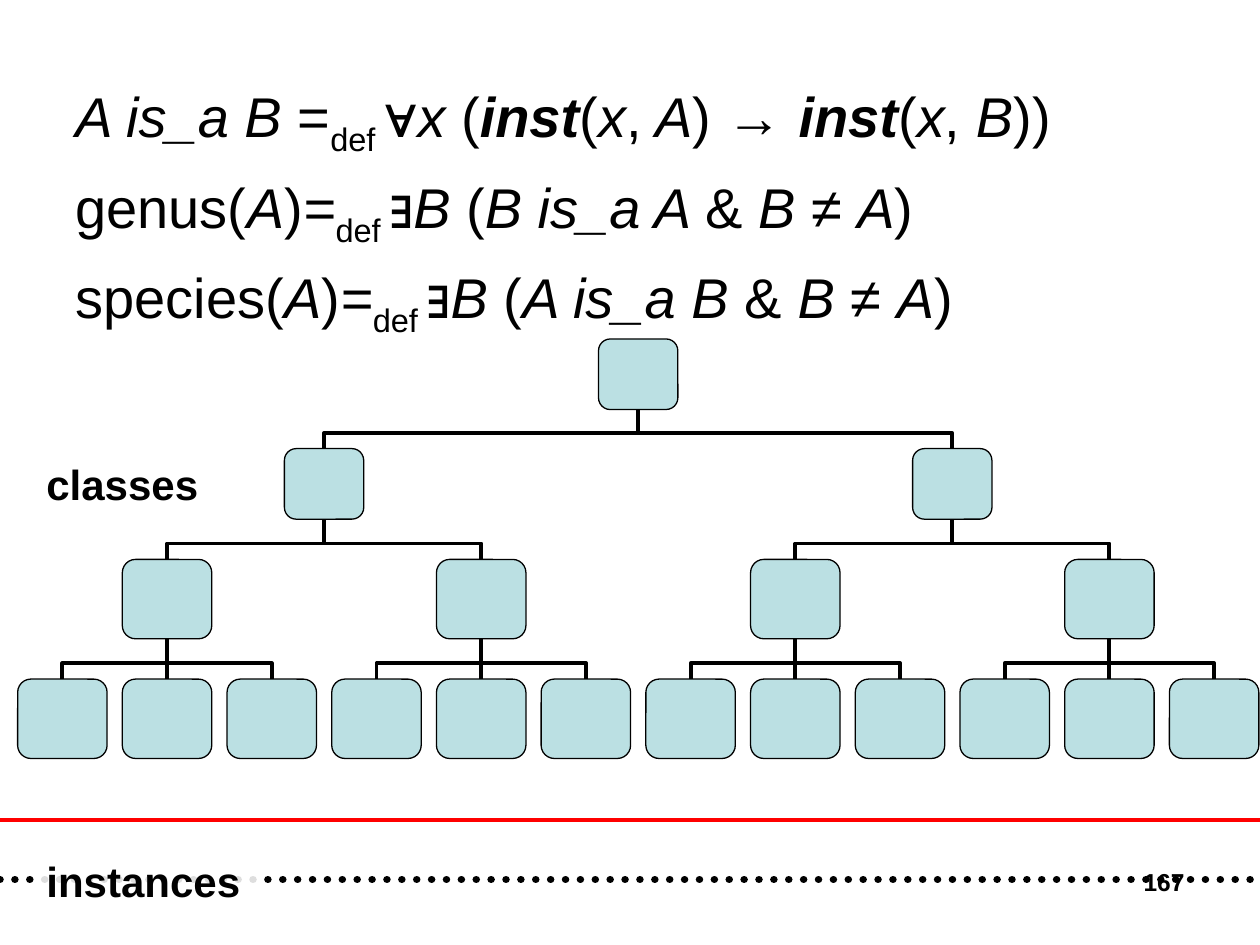
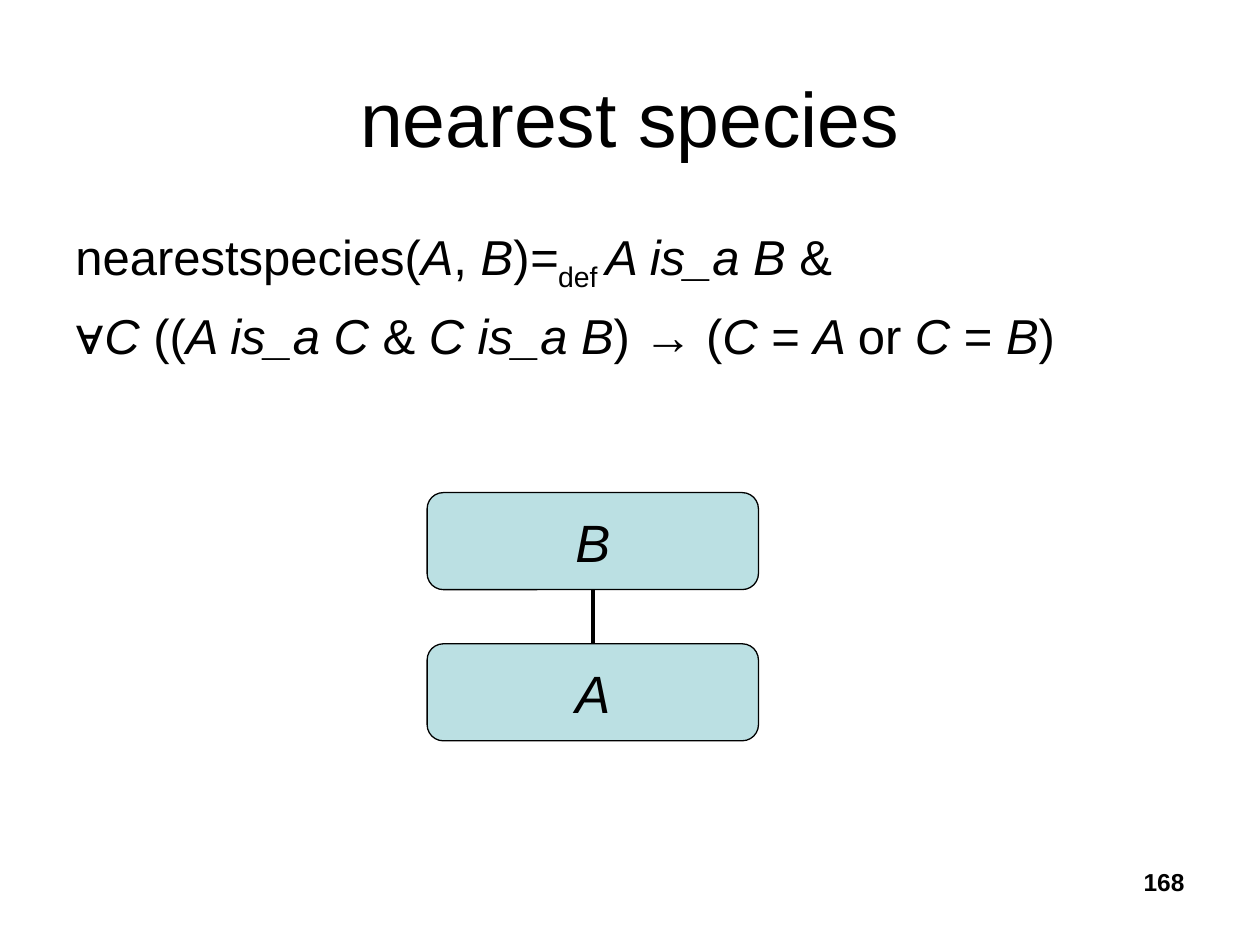
from dataclasses import dataclass
from typing import Optional

from lxml.etree import SubElement
from pptx import Presentation
from pptx.dml.color import RGBColor
from pptx.enum.shapes import MSO_CONNECTOR, MSO_SHAPE
from pptx.enum.text import MSO_ANCHOR, PP_ALIGN
from pptx.oxml.ns import qn
from pptx.util import Inches, Pt

BLACK = RGBColor(0x00, 0x00, 0x00)
WHITE = RGBColor(0xFF, 0xFF, 0xFF)
RED = RGBColor(0xFF, 0x00, 0x00)
NODE_BLUE = RGBColor(0xBB, 0xE0, 0xE3)

FONT = "Arial"
SLIDE_WIDTH = Inches(10)
SLIDE_HEIGHT = Inches(7.5)
LINK_WEIGHT = 2.25
ELBOW_BEND = 39500
LABEL_OPACITY = 87000


@dataclass(frozen=True)
class Box:
    """Place and size in percent of the slide's width and height."""

    left: float
    top: float
    width: float
    height: float

    def emu(self) -> tuple[int, int, int, int]:
        return across(self.left), down(self.top), across(self.width), down(self.height)


@dataclass(frozen=True)
class TextStyle:
    size: float
    bold: bool = False
    align: PP_ALIGN = PP_ALIGN.LEFT
    anchor: MSO_ANCHOR = MSO_ANCHOR.TOP
    space_before: float = 0
    wrap: bool = True


@dataclass(frozen=True)
class TreeLevel:
    top: float
    width: float
    height: float
    children: int


@dataclass(frozen=True)
class Rule:
    height: float
    weight: float
    color: RGBColor
    dotted: bool = False


TITLE = TextStyle(44, align=PP_ALIGN.CENTER, anchor=MSO_ANCHOR.MIDDLE)
DEFINITION = TextStyle(32, space_before=8)
SMALL_DEFINITION = TextStyle(28, space_before=7)
LAYER_LABEL = TextStyle(24, bold=True)
NODE_LABEL = TextStyle(30, align=PP_ALIGN.CENTER, anchor=MSO_ANCHOR.MIDDLE, wrap=False)
PAGE_NUMBER = TextStyle(14, bold=True, align=PP_ALIGN.RIGHT)
PAGE_NUMBER_BOX = Box(71.7, 91.07, 23.3, 6.93)

TREE_LEVELS = [
    TreeLevel(35.87, 6.3, 7.47, 2),
    TreeLevel(47.47, 6.3, 7.47, 2),
    TreeLevel(59.2, 7.1, 8.4, 3),
    TreeLevel(71.87, 7.1, 8.4, 0),
]
FIRST_LEAF_CENTER = 4.95
LEAF_PITCH = 8.31

RULES = [Rule(86.8, 2.25, RED), Rule(93.07, 4.25, BLACK, dotted=True)]

# Inline marks: * italic, ^ bold italic, ~ subscript.
GENUS_DEFINITIONS = [
    "*A is_a B* =~def ~∀*x* (^inst^(*x*,* A*) → ^inst^(*x*,* B*))",
    "genus(*A*)*=*~def ~∃*B *(*B is_a A *& *B *≠ *A*)",
    "species(*A*)*=*~def ~∃*B *(*A is_a B *& *B *≠ *A*)",
]
NEAREST_DEFINITION = [
    "nearestspecies(*A*, *B*)*=*~def ~*A is_a B *&",
    "∀*C* ((*A is_a C *& *C is_a B*) → (*C *= *A *or *C *= *B*)",
]


def across(percent: float) -> int:
    return round(SLIDE_WIDTH * percent / 100)


def down(percent: float) -> int:
    return round(SLIDE_HEIGHT * percent / 100)


def split_marks(markup: str) -> list[tuple[str, str]]:
    pieces = []
    mark, text = "", ""
    for character in markup:
        if character in "*^~":
            if text:
                pieces.append((text, mark))
            mark, text = ("" if mark == character else character), ""
        else:
            text += character
    if text:
        pieces.append((text, mark))
    return pieces


def write_text(shape, lines: list[str], style: TextStyle) -> None:
    text_frame = shape.text_frame
    text_frame.word_wrap = style.wrap
    text_frame.vertical_anchor = style.anchor
    for index, line in enumerate(lines):
        paragraph = text_frame.add_paragraph() if index else text_frame.paragraphs[0]
        paragraph.alignment = style.align
        if index:
            paragraph.space_before = Pt(style.space_before)
        for text, mark in split_marks(line):
            run = paragraph.add_run()
            run.text = text
            run.font.name = FONT
            run.font.size = Pt(style.size)
            run.font.color.rgb = BLACK
            run.font.bold = style.bold or mark == "^"
            run.font.italic = mark in ("*", "^")
            if mark == "~":
                run._r.get_or_add_rPr().set("baseline", "-25000")


def add_text(slide, box: Box, lines: list[str], style: TextStyle):
    shape = slide.shapes.add_textbox(*box.emu())
    write_text(shape, lines, style)
    return shape


def add_node(slide, box: Box, label: Optional[str] = None):
    node = slide.shapes.add_shape(MSO_SHAPE.ROUNDED_RECTANGLE, *box.emu())
    node.shadow.inherit = False
    node.fill.solid()
    node.fill.fore_color.rgb = NODE_BLUE
    node.line.color.rgb = BLACK
    node.line.width = Pt(0.75)
    if label:
        write_text(node, [label], NODE_LABEL)
    return node


def add_line(slide, kind, begin: tuple[int, int], end: tuple[int, int],
             color: RGBColor = BLACK, weight: float = LINK_WEIGHT):
    connector = slide.shapes.add_connector(kind, *begin, *end)
    connector.line.color.rgb = color
    connector.line.width = Pt(weight)
    SubElement(connector._element.spPr, qn("a:effectLst"))
    return connector


def link_straight(slide, parent, child) -> None:
    connector = add_line(slide, MSO_CONNECTOR.STRAIGHT, (0, 0), (0, 0))
    connector.begin_connect(parent, 2)
    connector.end_connect(child, 0)


def link_elbow(slide, parent, child) -> None:
    parent_x = parent.left + parent.width // 2
    child_x = child.left + child.width // 2
    parent_y = parent.top + parent.height
    middle_x, middle_y = (parent_x + child_x) // 2, (parent_y + child.top) // 2
    half_span = abs(child_x - parent_x) // 2
    half_drop = (child.top - parent_y) // 2
    child_is_right = child_x > parent_x
    reach = -half_drop if child_is_right else half_drop
    connector = add_line(slide, MSO_CONNECTOR.ELBOW,
                         (middle_x + reach, middle_y + half_span),
                         (middle_x - reach, middle_y - half_span))
    properties = connector._element.spPr
    properties.find(qn("a:xfrm")).set("rot", str((270 if child_is_right else 90) * 60000))
    adjustments = properties.find(qn("a:prstGeom")).find(qn("a:avLst"))
    SubElement(adjustments, qn("a:gd"), name="adj1", fmla=f"val {ELBOW_BEND}")


def add_tree(slide) -> None:
    leaf_count = 1
    for level in TREE_LEVELS[:-1]:
        leaf_count *= level.children
    centers = [FIRST_LEAF_CENTER + LEAF_PITCH * index for index in range(leaf_count)]
    children = []
    for level in reversed(TREE_LEVELS):
        if level.children:
            groups = [centers[start:start + level.children]
                      for start in range(0, len(centers), level.children)]
            centers = [sum(group) / len(group) for group in groups]
        nodes = [add_node(slide, Box(center - level.width / 2, level.top,
                                     level.width, level.height))
                 for center in centers]
        for index, child in enumerate(children):
            position = index % level.children
            parent = nodes[index // level.children]
            is_middle = 2 * position == level.children - 1
            link = link_straight if is_middle else link_elbow
            link(slide, parent, child)
        children = nodes


def add_rule(slide, rule: Rule) -> None:
    height = down(rule.height)
    connector = add_line(slide, MSO_CONNECTOR.STRAIGHT, (0, height),
                         (SLIDE_WIDTH, height), rule.color, rule.weight)
    if rule.dotted:
        line = connector.line._get_or_add_ln()
        line.set("cap", "rnd")
        SubElement(line, qn("a:prstDash"), val="sysDot")


def add_instances_label(slide) -> None:
    label = slide.shapes.add_shape(MSO_SHAPE.RECTANGLE, *Box(2.7, 89.87, 18.1, 6.67).emu())
    label.shadow.inherit = False
    label.fill.solid()
    label.fill.fore_color.rgb = WHITE
    color = label._element.spPr.find(qn("a:solidFill")).find(qn("a:srgbClr"))
    SubElement(color, qn("a:alpha"), val=str(LABEL_OPACITY))
    label.line.fill.background()
    write_text(label, ["instances"], LAYER_LABEL)


def build_genus_slide(slide) -> None:
    add_text(slide, Box(5, 8, 89.1, 39.87), GENUS_DEFINITIONS, DEFINITION)
    add_tree(slide)
    add_text(slide, Box(2.7, 47.87, 17.3, 6.67), ["classes"], LAYER_LABEL)
    for rule in RULES:
        add_rule(slide, rule)
    add_instances_label(slide)


def build_nearest_species_slide(slide) -> None:
    add_text(slide, Box(5, 4, 90, 16.67), ["nearest species"], TITLE)
    add_text(slide, Box(5, 23.33, 89.9, 66), NEAREST_DEFINITION, SMALL_DEFINITION)
    parent, child = [add_node(slide, Box(33.9, top, 26.3, 10.27), label)
                     for top, label in ((52.13, "*B*"), (68.13, "*A*"))]
    link_straight(slide, parent, child)


def main() -> None:
    presentation = Presentation()
    presentation.slide_width = SLIDE_WIDTH
    presentation.slide_height = SLIDE_HEIGHT
    blank_layout = presentation.slide_layouts[6]
    builders = (build_genus_slide, build_nearest_species_slide)
    for number, build in enumerate(builders, start=167):
        slide = presentation.slides.add_slide(blank_layout)
        build(slide)
        add_text(slide, PAGE_NUMBER_BOX, [str(number)], PAGE_NUMBER)
    presentation.save("out.pptx")


if __name__ == "__main__":
    main()
